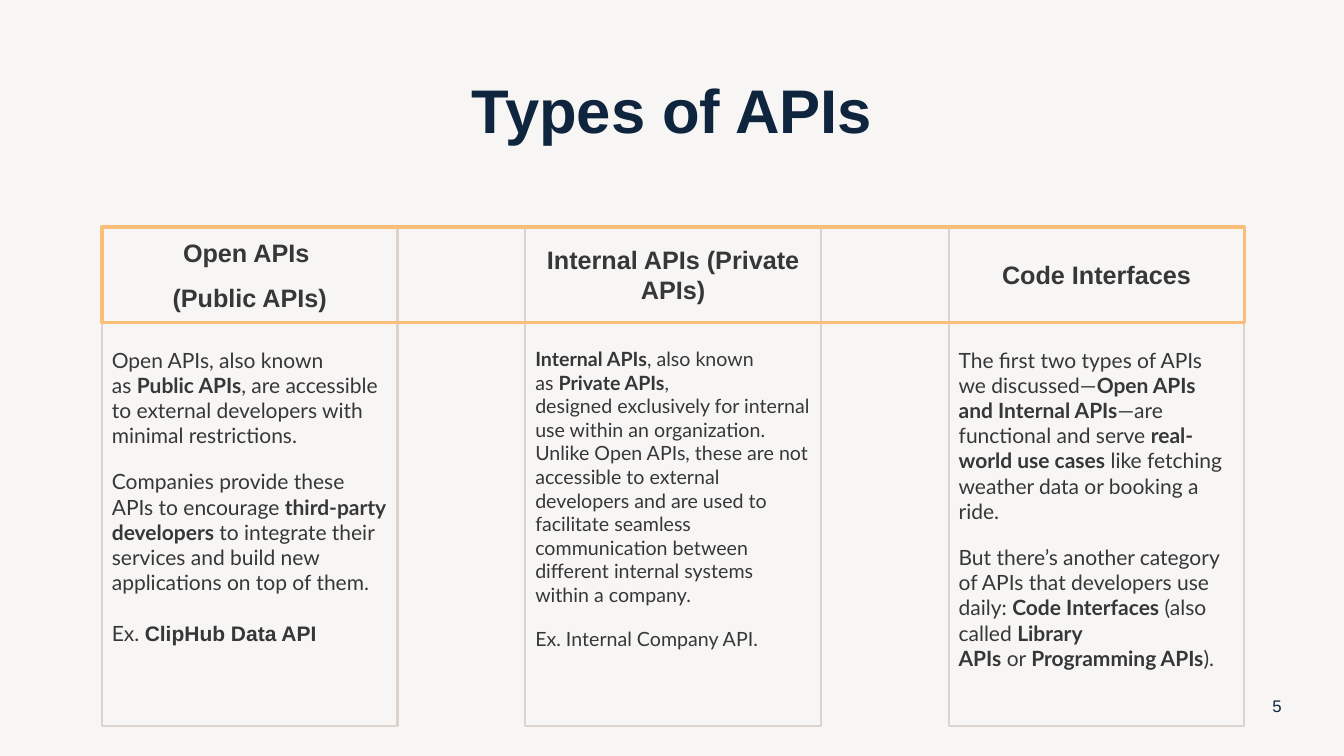
from dataclasses import dataclass

from pptx import Presentation
from pptx.dml.color import RGBColor
from pptx.enum.shapes import MSO_SHAPE
from pptx.enum.text import MSO_ANCHOR, PP_ALIGN
from pptx.util import Cm, Pt

BACKGROUND = RGBColor(0xF8, 0xF6, 0xF5)
NAVY = RGBColor(0x0F, 0x25, 0x3E)
CHARCOAL = RGBColor(0x36, 0x37, 0x37)
SAND = RGBColor(0xDC, 0xD3, 0xCC)
ORANGE = RGBColor(0xFA, 0xBE, 0x79)

RECTANGLE = MSO_SHAPE.RECTANGLE
CENTER, LEFT = PP_ALIGN.CENTER, PP_ALIGN.LEFT
MIDDLE, TOP = MSO_ANCHOR.MIDDLE, MSO_ANCHOR.TOP

HEADING_FONT = "Arial"
BODY_FONT = "Lato"
BOLD_MARK = "**"
TIE_MARK = "~"
NO_BREAK_SPACE = chr(160)

COLUMN_LEFT, COLUMN_WIDTH, COLUMN_PITCH = 2.57, 7.45, 10.67
HEADER_TOP, HEADER_HEIGHT = 5.72, 2.41
BODY_TOP, BODY_HEIGHT = 8.14, 10.16


@dataclass
class BodyText:
    text: str
    space_before: int = 15
    bold_font: str = BODY_FONT


@dataclass
class Column:
    heading: list
    body_size: int
    body: list


COLUMNS = [
    Column(["Open APIs ", "(Public APIs)"], 15, [
        BodyText("Open APIs, also known as~**Public APIs**, are accessible to "
                 "external developers with minimal restrictions."),
        BodyText("Companies provide these APIs to encourage~**third-party "
                 "developers**~to integrate their services and build new "
                 "applications on top of them."),
        BodyText("Ex. **ClipHub Data API**", 18, HEADING_FONT),
    ]),
    Column(["Internal APIs (Private APIs)"], 14, [
        BodyText("**Internal APIs**, also known as~**Private APIs**, "
                 "designed~exclusively for internal use within an organization. "
                 "Unlike Open APIs, these are not accessible to external "
                 "developers and are used to facilitate seamless communication "
                 "between different internal systems within a company."),
        BodyText("Ex. Internal Company API."),
    ]),
    Column(["Code Interfaces"], 15, [
        BodyText("The first two types of APIs we discussed—**Open APIs and "
                 "Internal APIs**—are functional and serve~**real-world use "
                 "cases**~like fetching weather data or booking a ride."),
        BodyText("But there’s another category of APIs that developers use "
                 "daily:~**Code Interfaces**~(also called~**Library APIs**~or~"
                 "**Programming APIs**)."),
    ]),
]


def style_paragraph(paragraph, font_name, size, color, bold=None, alignment=LEFT):
    paragraph.alignment = alignment
    paragraph.font.name = font_name
    paragraph.font.size = Pt(size)
    paragraph.font.color.rgb = color
    paragraph.font.bold = bold


def add_paragraph(frame, index, space_before):
    if index == 0:
        return frame.paragraphs[0]
    paragraph = frame.add_paragraph()
    paragraph.space_before = Pt(space_before)
    return paragraph


def add_outline(slide, left, top, width, height, color, line_width):
    shape = slide.shapes.add_shape(
        RECTANGLE, Cm(left), Cm(top), Cm(width), Cm(height))
    shape.shadow.inherit = False
    shape.fill.background()
    shape.line.color.rgb = color
    shape.line.width = Pt(line_width)
    return shape


def add_label(slide, text, left, top, width, height, size, bold):
    box = slide.shapes.add_textbox(Cm(left), Cm(top), Cm(width), Cm(height))
    frame = box.text_frame
    frame.word_wrap = True
    frame.vertical_anchor = MIDDLE
    paragraph = frame.paragraphs[0]
    paragraph.text = text
    style_paragraph(paragraph, HEADING_FONT, size, NAVY, bold, CENTER)
    return paragraph


def add_header(slide, left, lines):
    shape = add_outline(
        slide, left, HEADER_TOP, COLUMN_WIDTH, HEADER_HEIGHT, SAND, 1.5)
    frame = shape.text_frame
    frame.vertical_anchor = MIDDLE
    for index, line in enumerate(lines):
        paragraph = add_paragraph(frame, index, 10)
        paragraph.text = line
        style_paragraph(paragraph, HEADING_FONT, 18, CHARCOAL, True, CENTER)


def add_body(slide, left, size, body):
    shape = add_outline(
        slide, left, BODY_TOP, COLUMN_WIDTH, BODY_HEIGHT, SAND, 1.5)
    frame = shape.text_frame
    frame.vertical_anchor = TOP
    frame.margin_top = Cm(0.61)
    for index, item in enumerate(body):
        paragraph = add_paragraph(frame, index, item.space_before)
        style_paragraph(paragraph, BODY_FONT, size, CHARCOAL)
        text = item.text.replace(TIE_MARK, NO_BREAK_SPACE)
        for position, part in enumerate(text.split(BOLD_MARK)):
            if not part:
                continue
            run = paragraph.add_run()
            run.text = part
            if position % 2:
                run.font.bold = True
                run.font.name = item.bold_font


def main():
    presentation = Presentation()
    presentation.slide_width = Cm(33.87)
    presentation.slide_height = Cm(19.05)
    slide = presentation.slides.add_slide(presentation.slide_layouts[6])
    slide.background.fill.solid()
    slide.background.fill.fore_color.rgb = BACKGROUND

    title = add_label(slide, "Types of APIs", 2.34, 1.02, 29.21, 3.68, 44, True)
    title.line_spacing = 0.9
    for index, column in enumerate(COLUMNS):
        left = COLUMN_LEFT + index * COLUMN_PITCH
        add_header(slide, left, column.heading)
        add_body(slide, left, column.body_size, column.body)
    frame_width = 2 * COLUMN_PITCH + COLUMN_WIDTH
    add_outline(
        slide, COLUMN_LEFT, HEADER_TOP, frame_width, HEADER_HEIGHT, ORANGE, 2.25)
    add_label(slide, "5", 31.55, 17.27, 1.27, 1.02, 12, False)

    presentation.save("out.pptx")


if __name__ == "__main__":
    main()
